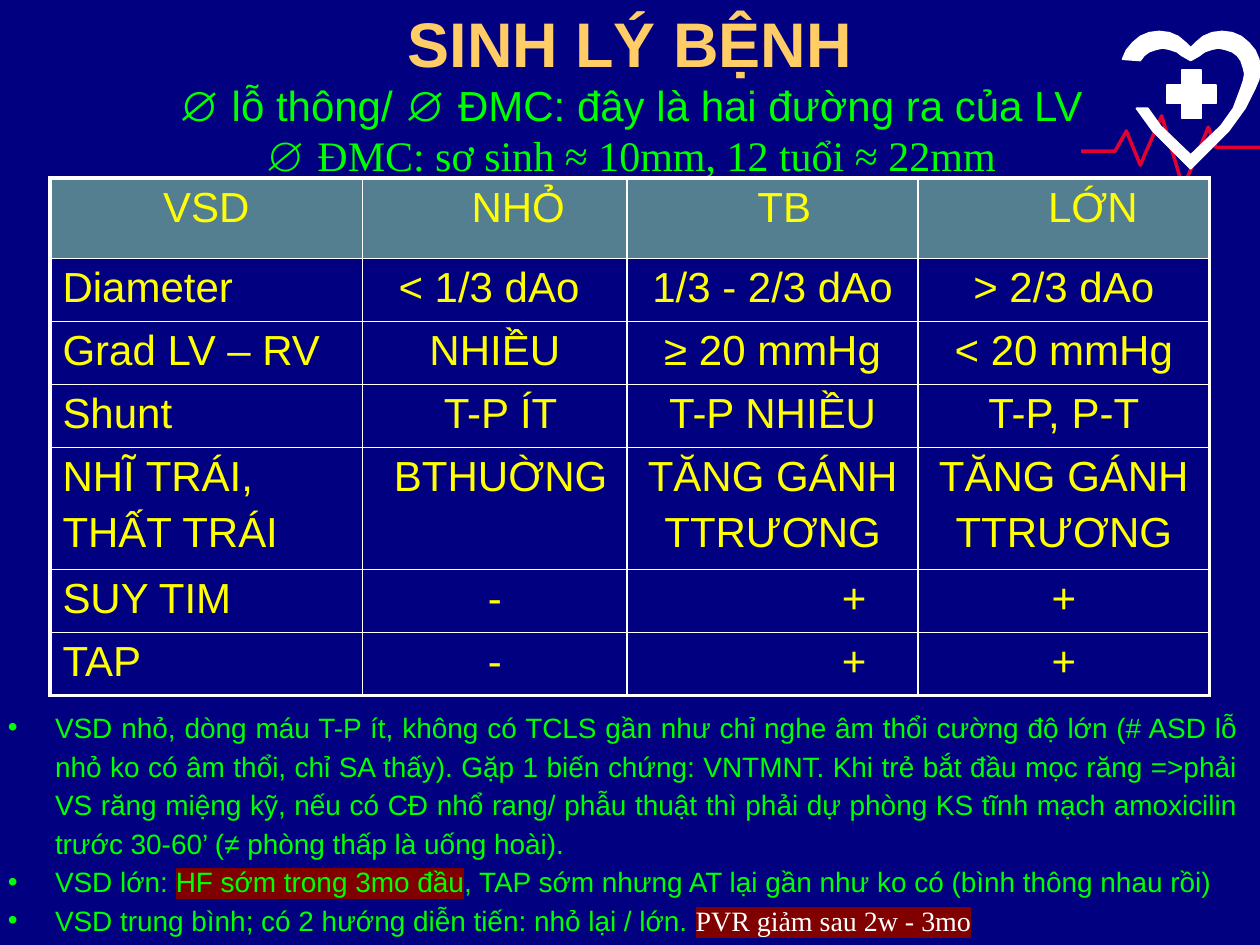
from math import cos, radians, sin

from lxml import etree
from pptx import Presentation
from pptx.dml.color import RGBColor as RGB
from pptx.enum.shapes import MSO_SHAPE as Shape
from pptx.enum.text import MSO_ANCHOR as Anchor, PP_ALIGN as Align
from pptx.oxml.ns import qn
from pptx.util import Cm, Pt

HUES = {
    "back": "000080", "title": "FFCC66", "green": "00FF00", "yellow": "FFFF00",
    "head": "547F90", "white": "FFFFFF", "mark": "800000", "pulse": "E50032",
}
SANS, SERIF = "Arial", "Times New Roman"

TITLE = "SINH LÝ BỆNH"
INTRO = [
    ("∅ lỗ thông/ ∅ ĐMC: đây là hai đường ra của LV", SANS),
    ("∅ ĐMC: sơ sinh ≈ 10mm, 12 tuổi ≈ 22mm", SERIF),
]

ROWS = [
    ["VSD", "NHỎ", "TB", "LỚN"],
    ["Diameter", "< 1/3 dAo", "1/3 - 2/3 dAo", "> 2/3 dAo"],
    ["Grad LV – RV", "NHIỀU", "≥ 20 mmHg", "< 20 mmHg"],
    ["Shunt", "T-P ÍT", "T-P NHIỀU", "T-P, P-T"],
    ["NHĨ TRÁI,\nTHẤT TRÁI", "BTHUỜNG", "TĂNG GÁNH\nTTRƯƠNG", "TĂNG GÁNH\nTTRƯƠNG"],
    ["SUY TIM", "-", "+", "+"],
    ["TAP", "-", "+", "+"],
]
WIDTHS = [6.3, 5.33, 5.87, 5.87]
HEAD, SINGLE, DOUBLE = 1.62, 1.2, 2.31
PAD, STEP = 0.25, 0.235
SHIFTS = {(0, 1): 4, (0, 2): 2, (0, 3): 5, (1, 1): -1,
          (3, 1): 1, (4, 1): 1, (5, 2): 14, (6, 2): 14}

KINDS = {
    "plain": (SANS, "green", False),
    "alert": (SANS, "green", True),
    "extra": (SERIF, "white", True),
}
NOTES = [
    [("VSD nhỏ, dòng máu T-P ít, không có TCLS gần như chỉ nghe âm thổi cường độ lớn "
      "(# ASD lỗ nhỏ ko có âm thổi, chỉ SA thấy). Gặp 1 biến chứng: VNTMNT. Khi trẻ bắt "
      "đầu mọc răng =>phải VS răng miệng kỹ, nếu có CĐ nhổ rang/ phẫu thuật thì phải dự "
      "phòng KS tĩnh mạch amoxicilin trước 30-60’ (≠ phòng thấp là uống hoài).", "plain")],
    [("VSD lớn: ", "plain"), ("HF sớm trong 3mo đầu", "alert"),
     (", TAP sớm nhưng AT lại gần như ko có (bình thông nhau rồi)", "plain")],
    [("VSD trung bình; có 2 hướng diễn tiến: nhỏ lại / lớn. ", "plain"),
     ("PVR giảm sau 2w - 3mo", "extra")],
]

UNIT = Cm(0.0254)
PULSE = [(858, 120), (885, 120), (894, 104), (905, 131), (922, 92),
         (939, 149), (959, 101), (965, 117), (1000, 117)]
AXIS, GAP = 945, 50
OUTER = {"notch": 38, "lobe": (25, 55), "radius": 30,
         "flank": [(43, 86), (30, 104)], "tip": 134}
INNER = {"notch": 48, "lobe": (22, 59), "radius": 21,
         "flank": [(34, 86), (24, 100)], "tip": 123}
CROSS = {"mid": (24.02, 1.9), "long": 0.98, "thick": 0.38}


def tint(name):
    return RGB.from_string(HUES[name])


def style(run, size, hue, face=SANS, bold=False):
    font = run.font
    font.size, font.name, font.bold = Pt(size), face, bold
    font.color.rgb = tint(hue)


def paint(shape, fill, line, width):
    shape.shadow.inherit = False
    if fill:
        shape.fill.solid()
        shape.fill.fore_color.rgb = tint(fill)
    else:
        shape.fill.background()
    shape.line.color.rgb = tint(line)
    shape.line.width = Pt(width)


def trace(slide, points, close):
    path = slide.shapes.build_freeform(*points[0], scale=UNIT)
    path.add_line_segments(points[1:], close=close)
    return path.convert_to_shape()


def lobe(edge):
    x, y = edge["lobe"]
    turns = [radians(a) for a in range(-135, 31, 15)]
    return [(x + edge["radius"] * cos(t), y + edge["radius"] * sin(t)) for t in turns]


def flip(points):
    return [(-x, y) for x, y in points]


def band(edge):
    arc = lobe(edge)
    top = flip([(x, y) for x, y in arc if y <= GAP])
    right = [(0, edge["notch"])] + arc + edge["flank"] + [(0, edge["tip"])]
    return top[::-1] + right + flip(edge["flank"])[::-1]


def heart():
    return [(AXIS + x, y) for x, y in band(OUTER) + band(INNER)[::-1]]


def add_cross(slide):
    x, y = CROSS["mid"]
    size = CROSS["thick"], CROSS["long"]
    for wide, high in (size, size[::-1]):
        place = x - wide / 2, y - high / 2, wide, high
        bar = slide.shapes.add_shape(Shape.RECTANGLE, *map(Cm, place))
        paint(bar, "white", "white", 1)


def add_emblem(slide):
    paint(trace(slide, PULSE, False), None, "pulse", 2)
    add_cross(slide)
    paint(trace(slide, heart(), True), "white", "white", 1)


def border(cell, row, col):
    outer = {"lnL": col == 0, "lnR": col == len(WIDTHS) - 1,
             "lnT": row == 0, "lnB": row == len(ROWS) - 1}
    props = cell._tc.get_or_add_tcPr()
    for spot, (side, edge) in enumerate(outer.items()):
        line = etree.Element(qn("a:" + side), w=str(Pt(2.25 if edge else 1)))
        fill = etree.SubElement(line, qn("a:solidFill"))
        etree.SubElement(fill, qn("a:srgbClr"), val=HUES["white"])
        props.insert(spot, line)


def fill_cell(cell, text, row, col):
    if row == 0:
        cell.fill.solid()
        cell.fill.fore_color.rgb = tint("head")
    else:
        cell.fill.background()
    border(cell, row, col)
    shift = STEP * SHIFTS.get((row, col), 0)
    cell.margin_left = Cm(PAD + max(shift, 0))
    cell.margin_right = Cm(PAD + max(-shift, 0))
    cell.text_frame.text = text
    for spot, para in enumerate(cell.text_frame.paragraphs):
        para.alignment = Align.LEFT if row and not col else Align.CENTER
        if spot:
            para.space_before = Pt(4.8)
        style(para.runs[0], 24, "yellow")


def add_grid(slide):
    highs = [HEAD] + [DOUBLE if "\n" in row[0] else SINGLE for row in ROWS[1:]]
    place = 1.01, 3.59, sum(WIDTHS), sum(highs)
    grid = slide.shapes.add_table(len(ROWS), len(WIDTHS), *map(Cm, place)).table
    grid.first_row = grid.horz_banding = False
    for col, width in zip(grid.columns, WIDTHS):
        col.width = Cm(width)
    for r, (texts, high) in enumerate(zip(ROWS, highs)):
        grid.rows[r].height = Cm(high)
        for c, text in enumerate(texts):
            fill_cell(grid.cell(r, c), text, r, c)


def box(slide, *place):
    frame = slide.shapes.add_textbox(*map(Cm, place)).text_frame
    frame.word_wrap = True
    return frame


def add_heads(slide):
    frame = box(slide, 1.9, 0.22, 21.6, 1.27)
    frame.vertical_anchor = Anchor.MIDDLE
    frame.text = TITLE
    frame.paragraphs[0].alignment = Align.CENTER
    style(frame.paragraphs[0].runs[0], 36, "title", bold=True)

    frame = box(slide, 2.97, 1.47, 19.48, 2.31)
    frame.text = "\n".join(text for text, face in INTRO)
    for para, (text, face) in zip(frame.paragraphs, INTRO):
        para.alignment = Align.CENTER
        style(para.runs[0], 24, "green", face)


def mark(run):
    high = etree.Element(qn("a:highlight"))
    etree.SubElement(high, qn("a:srgbClr"), val=HUES["mark"])
    run.font._element.find(qn("a:solidFill")).addnext(high)


def bullet(para):
    props = para._p.get_or_add_pPr()
    props.set("marL", str(Cm(0.95)))
    props.set("indent", str(-Cm(0.95)))
    etree.SubElement(props, qn("a:buFont"), typeface=SANS)
    etree.SubElement(props, qn("a:buChar"), char="•")


def add_notes(slide):
    frame = box(slide, -0.09, 14.1, 25.29, 4.9)
    for spot, parts in enumerate(NOTES):
        para = frame.add_paragraph() if spot else frame.paragraphs[0]
        bullet(para)
        para.alignment, para.line_spacing = Align.JUSTIFY, 1.15
        for text, kind in parts:
            face, hue, high = KINDS[kind]
            run = para.add_run()
            run.text = text
            style(run, 16, hue, face)
            if high:
                mark(run)


def main():
    deck = Presentation()
    deck.slide_width, deck.slide_height = Cm(25.4), Cm(19.05)
    slide = deck.slides.add_slide(deck.slide_layouts[6])
    slide.background.fill.solid()
    slide.background.fill.fore_color.rgb = tint("back")
    for add in (add_emblem, add_heads, add_grid, add_notes):
        add(slide)
    deck.save("out.pptx")


if __name__ == "__main__":
    main()
